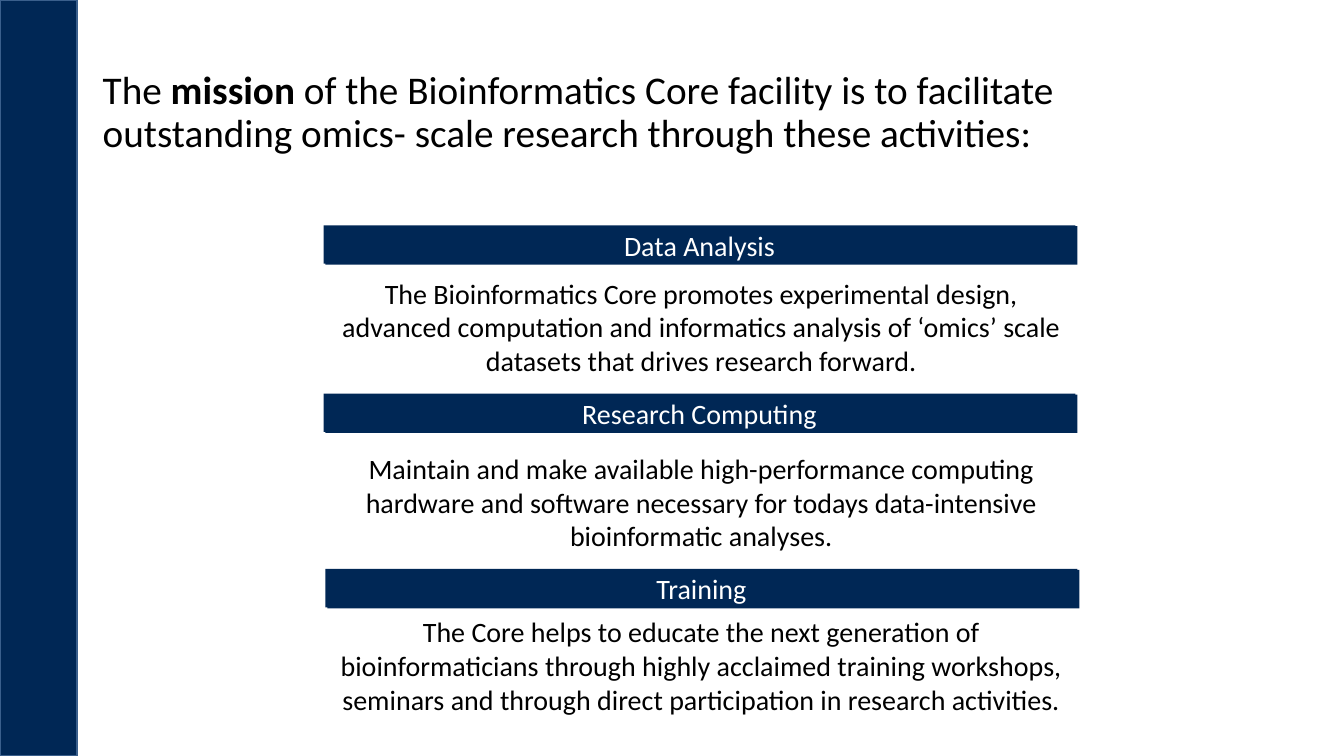
from pptx import Presentation
from pptx.dml.color import RGBColor
from pptx.enum.shapes import MSO_SHAPE
from pptx.enum.text import MSO_ANCHOR, MSO_AUTO_SIZE, PP_ALIGN
from pptx.util import Pt

RECTANGLE = MSO_SHAPE.RECTANGLE
MIDDLE = MSO_ANCHOR.MIDDLE
FIT_SHAPE, NO_FIT = MSO_AUTO_SIZE.SHAPE_TO_FIT_TEXT, MSO_AUTO_SIZE.NONE
LEFT, CENTER = PP_ALIGN.LEFT, PP_ALIGN.CENTER

NAVY, EDGE, BLACK, WHITE = "002755", "3A5F8C", "000000", "FFFFFF"
FONT = "Calibri"
SLIDE_WIDTH, SLIDE_HEIGHT = 960, 540

TITLE_RUNS = [
    ("The ", False),
    ("mission", True),
    (" of the Bioinformatics Core facility is to facilitate outstanding "
     "omics- scale research through these activities:", False),
]

# heading, heading left, heading top, description top, description
ACTIVITIES = [
    ("Data Analysis", 231.1, 159.3, 193.7,
     "The Bioinformatics Core promotes experimental design, advanced computation and "
     "informatics analysis of ‘omics’ scale datasets that drives research forward."),
    ("Research Computing", 231.1, 279.5, 319,
     "Maintain and make available high-performance computing hardware and software "
     "necessary for todays data-intensive bioinformatic analyses."),
    ("Training", 232.5, 404.8, 435.6,
     "The Core helps to educate the next generation of bioinformaticians through highly "
     "acclaimed training workshops, seminars and through direct participation in "
     "research activities."),
]
BODY_LEFT, BODY_WIDTH, BODY_HEIGHT = 231.1, 539.6, 80
BAR_WIDTH, BAR_HEIGHT, HEADING_HEIGHT = 537.1, 27.4, 31.5
BAR_OFFSETS = [(0, 1.6), (1.4, 2.3)]


def color(value):
    """Return the colour of a hex string."""
    return RGBColor.from_string(value)


def style(paragraph, size, font_color, alignment):
    """Set the font and alignment of a paragraph."""
    paragraph.alignment = alignment
    paragraph.font.name = FONT
    paragraph.font.size = Pt(size)
    paragraph.font.color.rgb = color(font_color)


def add_bar(shapes, left, top, width, height):
    """Add a navy rectangle without outline."""
    bar = shapes.add_shape(RECTANGLE, Pt(left), Pt(top), Pt(width), Pt(height))
    bar.shadow.inherit = False
    bar.fill.solid()
    bar.fill.fore_color.rgb = color(NAVY)
    bar.line.fill.background()
    return bar


def add_text(shapes, text, left, top, width, height, font_color):
    """Add a centred, wrapping text box."""
    box = shapes.add_textbox(Pt(left), Pt(top), Pt(width), Pt(height))
    frame = box.text_frame
    frame.word_wrap = True
    frame.auto_size = FIT_SHAPE
    frame.text = text
    style(frame.paragraphs[0], 20, font_color, CENTER)


def fill_title(title):
    """Place the title and write its runs."""
    title.left, title.top, title.width, title.height = Pt(66.2), Pt(28.8), Pt(828), Pt(104.4)
    frame = title.text_frame
    frame.vertical_anchor = MIDDLE
    frame.word_wrap = True
    frame.auto_size = NO_FIT
    paragraph = frame.paragraphs[0]
    style(paragraph, 28, BLACK, LEFT)
    paragraph.line_spacing = 0.9
    for text, bold in TITLE_RUNS:
        run = paragraph.add_run()
        run.text = text
        run.font.bold = bold


def build():
    """Build and save the mission slide."""
    presentation = Presentation()
    presentation.slide_width, presentation.slide_height = Pt(SLIDE_WIDTH), Pt(SLIDE_HEIGHT)
    slide = presentation.slides.add_slide(presentation.slide_layouts.get_by_name("Title Only"))
    shapes = slide.shapes
    fill_title(shapes.title)
    sidebar = add_bar(shapes, 0, 0, 54.9, SLIDE_HEIGHT)
    sidebar.line.color.rgb = color(EDGE)
    sidebar.line.width = Pt(1)
    for heading, left, top, body_top, description in ACTIVITIES:
        group = shapes.add_group_shape()
        for shift_x, shift_y in BAR_OFFSETS:
            add_bar(group.shapes, left + shift_x, top + shift_y, BAR_WIDTH, BAR_HEIGHT)
        add_text(group.shapes, heading, left, top, BAR_WIDTH, HEADING_HEIGHT, WHITE)
        add_text(shapes, description, BODY_LEFT, body_top, BODY_WIDTH, BODY_HEIGHT, BLACK)
    presentation.save("out.pptx")


build()
